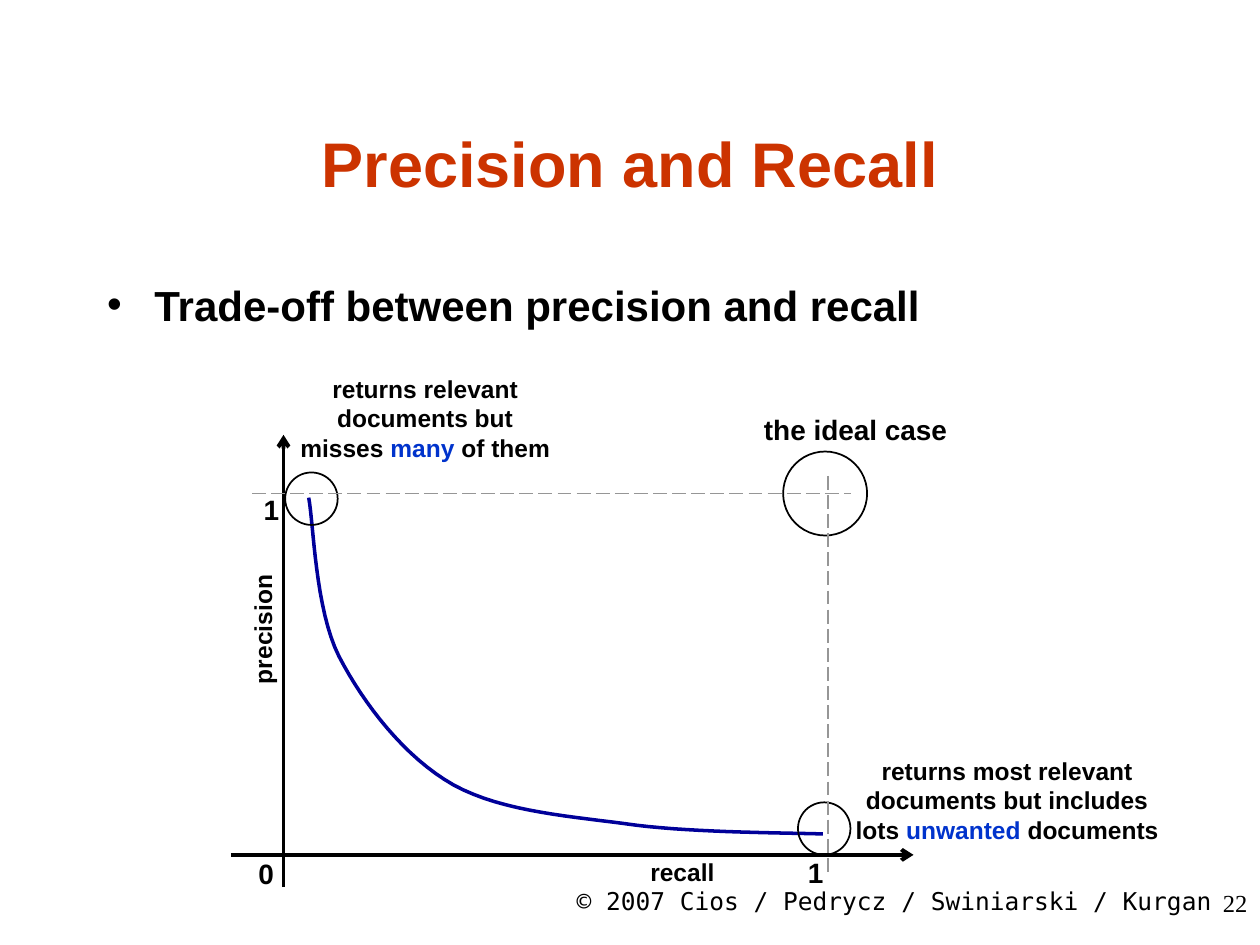
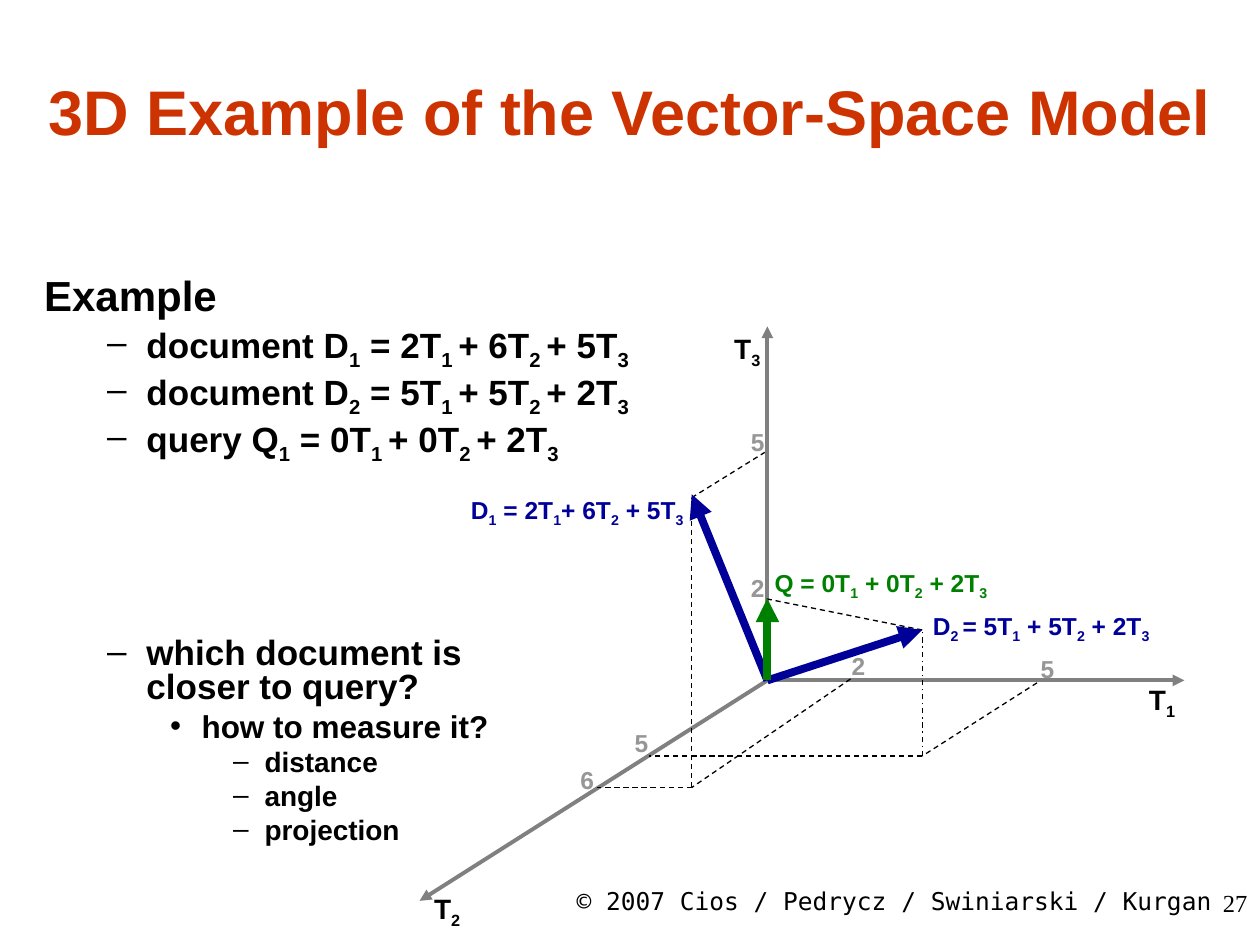
from pptx import Presentation
from pptx.dml.color import RGBColor
from pptx.enum.dml import MSO_LINE_DASH_STYLE as Dash
from pptx.enum.shapes import MSO_CONNECTOR, MSO_SHAPE
from pptx.enum.text import MSO_ANCHOR, MSO_AUTO_SIZE as AutoSize, PP_ALIGN as Align
from pptx.oxml.ns import qn
from pptx.util import Pt
from lxml.etree import SubElement

# Shared style
SANS, MONO, SERIF = "Arial", "DejaVu Sans Mono", "Times New Roman"
BLACK, RED, BLUE, NAVY = "000000", "CC3300", "0033CC", "000099"
GREEN, GREY, AXIS_GREY = "008000", "969696", "808080"
AXIS_WIDTH = 2.25
COPYRIGHT = "© 2007 Cios / Pedrycz / Swiniarski / Kurgan"
# Body levels: size, text indent, hanging indent, space before
LEVELS = [(24, 27, 27, 6), (20, 58.5, 22.5, 5), (18, 90, 18, 4.5), (16, 126, 18, 4)]

# Text between bars is highlighted on the first slide, subscript on the second.
TRADE_OFF = {
    "title": "Precision and Recall",
    "title_box": (24, 48, 672, 90),
    "body_box": (54, 156, 612, 72),
    "body": [(0, "Trade-off between precision and recall")],
    "page": 22,
}
AXES = [((162, 507), (162, 248.5)), ((132, 488.5), (522, 488.5))]
LIMITS = [((144, 282), (486, 282)), ((473, 272), (473, 500))]
CASES = [(471.5, 282, 48), (178, 285, 30), (471, 473.5, 30)]  # centre, diameter
CURVE_START = (176.4, 284.4)
CURVE = [
    ((179.3, 299.5), (180, 347.8), (193.7, 375.1)),
    ((208, 402.5), (231.1, 432.7), (259.2, 448.6)),
    ((288, 464.4), (328.3, 466.6), (363.6, 471.6)),
    ((398.9, 475.9), (448.6, 475.9), (470.2, 476.6)),
]
PLOT_LABELS = [  # text, left, top, width, size
    ("1", 143.5, 278, 24, 16),
    ("1", 454.5, 485.5, 24, 16),
    ("0", 140.5, 486, 24, 16),
    ("recall", 364.5, 486, 54, 14),
    ("the ideal case", 429.5, 232, 122, 16),
]
PRECISION_LABEL = ("precision", 108, 344, 84, 14)
CAPTIONS = [
    (["returns relevant documents but", "misses |many| of them"], 156, 210, 174),
    (["returns most relevant", "documents but includes", "lots |unwanted| documents"],
     475.5, 428.5, 200),
]

VECTOR_SPACE = {
    "title": "3D Example of the Vector-Space Model",
    "title_box": (12, 18, 696, 90),
    "body_box": (18, 156, 612, 360),
    "body": [
        (0, "Example"),
        (1, "document D|1| = 2T|1 |+ 6T|2 |+ 5T|3"),
        (1, "document D|2| = 5T|1 |+ 5T|2 |+ 2T|3"),
        (1, "query Q|1| = 0T|1 |+ 0T|2 |+ 2T|3"),
        (1, "which document is\ncloser to query?"),
        (2, "how to measure it?"),
        (3, "distance"),
        (3, "angle"),
        (3, "projection"),
    ],
    "page": 27,
}
QUESTION_ROW, QUESTION_GAP = 4, 102
ORIGIN = (438.5, 388.8)
AXIS_TIPS = [(676.8, 388.8), (239.8, 514.8), (438.5, 186.5)]
VECTORS = [((395.3, 282.5), NAVY), ((527, 360), NAVY), ((438.5, 342), GREEN)]
PROJECTIONS = [  # tip, foot on the T1-T2 plane, ticks on T1, T2 and T3, drop style
    ((395.3, 284.4), (395.3, 450), (486, 388), (341.3, 450), (437, 258.5), Dash.DASH),
    ((527, 360), (527, 432), (592.6, 390.2), (370.8, 432), (437, 342), Dash.DASH_DOT),
]
SPACE_LABELS = [  # text, left, top, width, size, colour
    ("T|3", 412.5, 186, 36, 16, BLACK),
    ("T|2", 241, 506, 36, 16, BLACK),
    ("T|1", 649.5, 386.5, 36, 16, BLACK),
    ("D|1| = 2T|1|+ 6T|2| + 5T|3", 262, 279.5, 142, 14, NAVY),
    ("D|2 |= 5T|1| + 5T|2| + 2T|3", 526, 345.5, 148, 14, NAVY),
    ("Q = 0T|1| + 0T|2| + 2T|3", 435.5, 321, 142, 14, GREEN),
    ("5", 422, 240.5, 24, 14, GREY),
    ("2", 422, 324, 24, 14, GREY),
    ("6", 324.5, 433.5, 24, 14, GREY),
    ("5", 355.5, 412.5, 24, 14, GREY),
    ("2", 479.5, 368.5, 24, 14, GREY),
    ("5", 587.5, 370, 24, 14, GREY),
]


def rgb(value):
    return RGBColor.from_string(value)


def set_font(paragraph, size, color=BLACK, name=SANS, bold=True):
    font = paragraph.font
    font.name, font.size, font.bold = name, Pt(size), bold
    font.color.rgb = rgb(color)


def write_marked(paragraph, text, highlight=None):
    """Write text; every second part between bars is highlighted or subscript."""
    for index, part in enumerate(text.split("|")):
        for row, line in enumerate(part.split("\n")):
            if row:
                paragraph.add_line_break()
            run = paragraph.add_run()
            run.text = line
            if index % 2 and highlight:
                run.font.color.rgb = rgb(highlight)
            elif index % 2:
                run._r.get_or_add_rPr().set("baseline", "-25000")


def place(shape, box):
    shape.left, shape.top, shape.width, shape.height = map(Pt, box)


def add_label(slide, lines, left, top, width, size, color=BLACK, align=Align.LEFT,
              wrap=False, highlight=None, name=SANS, bold=True):
    height = 7.2 + len(lines) * size * 1.2
    label = slide.shapes.add_textbox(*map(Pt, (left, top, width, height)))
    frame = label.text_frame
    frame.word_wrap = wrap
    frame.auto_size = AutoSize.NONE if wrap else AutoSize.SHAPE_TO_FIT_TEXT
    for index, line in enumerate(lines):
        paragraph = frame.add_paragraph() if index else frame.paragraphs[0]
        paragraph.alignment = align
        set_font(paragraph, size, color, name, bold)
        write_marked(paragraph, line, highlight)
    return label


def add_line(slide, start, end, color, width, dash=None, arrow=None):
    line = slide.shapes.add_connector(MSO_CONNECTOR.STRAIGHT, *map(Pt, start + end))
    line.line.color.rgb = rgb(color)
    line.line.width = Pt(width)
    if dash:
        line.line.dash_style = dash
    if arrow:
        SubElement(line.line._get_or_add_ln(), qn("a:tailEnd"), type=arrow)
    SubElement(line._element.spPr, qn("a:effectLst"))


def outline(shape, color, width):
    shape.shadow.inherit = False
    shape.fill.background()
    shape.line.color.rgb = rgb(color)
    shape.line.width = Pt(width)


def add_curve(slide, start, segments, steps=16):
    """Draw joined cubic Bezier segments as a fine polyline."""
    points, p0 = [], start
    for p1, p2, p3 in segments:
        for step in range(1, steps + 1):
            t = step / steps
            weights = ((1 - t) ** 3, 3 * t * (1 - t) ** 2, 3 * t * t * (1 - t), t ** 3)
            points.append(tuple(
                Pt(sum(w * p[axis] for w, p in zip(weights, (p0, p1, p2, p3))))
                for axis in (0, 1)))
        p0 = p3
    builder = slide.shapes.build_freeform(*map(Pt, start))
    builder.add_line_segments(points, close=False)
    outline(builder.convert_to_shape(), NAVY, 2)


def add_base_slide(deck, content):
    slide = deck.slides.add_slide(deck.slide_layouts[1])
    title, body = slide.placeholders
    place(title, content["title_box"])
    title.text_frame.vertical_anchor = MSO_ANCHOR.MIDDLE
    title.text_frame.auto_size = AutoSize.NONE
    heading = title.text_frame.paragraphs[0]
    heading.alignment = Align.CENTER
    set_font(heading, 36, RED)
    write_marked(heading, content["title"])

    place(body, content["body_box"])
    frame = body.text_frame
    frame.auto_size = AutoSize.NONE
    for index, (level, text) in enumerate(content["body"]):
        paragraph = frame.add_paragraph() if index else frame.paragraphs[0]
        size, indent, hanging, gap = LEVELS[level]
        paragraph.level = level
        paragraph.space_before = Pt(gap if index else 0)
        properties = paragraph._p.get_or_add_pPr()
        properties.set("marL", str(Pt(indent)))
        properties.set("indent", str(-Pt(hanging)))
        set_font(paragraph, size)
        write_marked(paragraph, text)

    add_label(slide, [COPYRIGHT], 240, 502.5, 460, 14, align=Align.RIGHT, wrap=True,
              name=MONO, bold=False)
    add_label(slide, [str(content["page"])], 570, 504, 150, 14, align=Align.RIGHT,
              wrap=True, name=SERIF, bold=False)
    return slide


def build_trade_off(deck):
    slide = add_base_slide(deck, TRADE_OFF)
    add_curve(slide, CURVE_START, CURVE)
    for start, end in AXES:
        add_line(slide, start, end, BLACK, AXIS_WIDTH, arrow="arrow")
    for x, y, size in CASES:
        box = map(Pt, (x - size / 2, y - size / 2, size, size))
        outline(slide.shapes.add_shape(MSO_SHAPE.OVAL, *box), BLACK, 1)
    for start, end in LIMITS:
        add_line(slide, start, end, GREY, 1, Dash.LONG_DASH)
    for text, *spot in PLOT_LABELS:
        add_label(slide, [text], *spot)
    text, *spot = PRECISION_LABEL
    add_label(slide, [text], *spot).rotation = 270
    for lines, *spot in CAPTIONS:
        add_label(slide, lines, *spot, 14, align=Align.CENTER, wrap=True, highlight=BLUE)


def build_vector_space(deck):
    slide = add_base_slide(deck, VECTOR_SPACE)
    paragraphs = slide.placeholders[1].text_frame.paragraphs
    for paragraph in paragraphs:
        paragraph.line_spacing = 0.8
    paragraphs[QUESTION_ROW].space_before = Pt(QUESTION_GAP)
    example = paragraphs[0]._p.get_or_add_pPr()
    example.find(qn("a:defRPr")).addprevious(SubElement(example, qn("a:buNone")))

    for tip in AXIS_TIPS:
        add_line(slide, ORIGIN, tip, AXIS_GREY, AXIS_WIDTH, arrow="triangle")
    for tip, foot, tick_1, tick_2, tick_3, drop in PROJECTIONS:
        add_line(slide, tick_1, foot, BLACK, 0.75, Dash.DASH)
        add_line(slide, foot, tick_2, BLACK, 0.75, Dash.DASH)
        add_line(slide, foot, tip, BLACK, 0.75, drop)
        add_line(slide, tip, tick_3, BLACK, 0.75, Dash.DASH)
    for tip, color in VECTORS:
        add_line(slide, ORIGIN, tip, color, 4.5, arrow="triangle")
    for text, *spot in SPACE_LABELS:
        add_label(slide, [text], *spot)


def main():
    deck = Presentation()
    deck.slide_width, deck.slide_height = Pt(720), Pt(540)
    build_trade_off(deck)
    build_vector_space(deck)
    deck.save("out.pptx")


if __name__ == "__main__":
    main()
